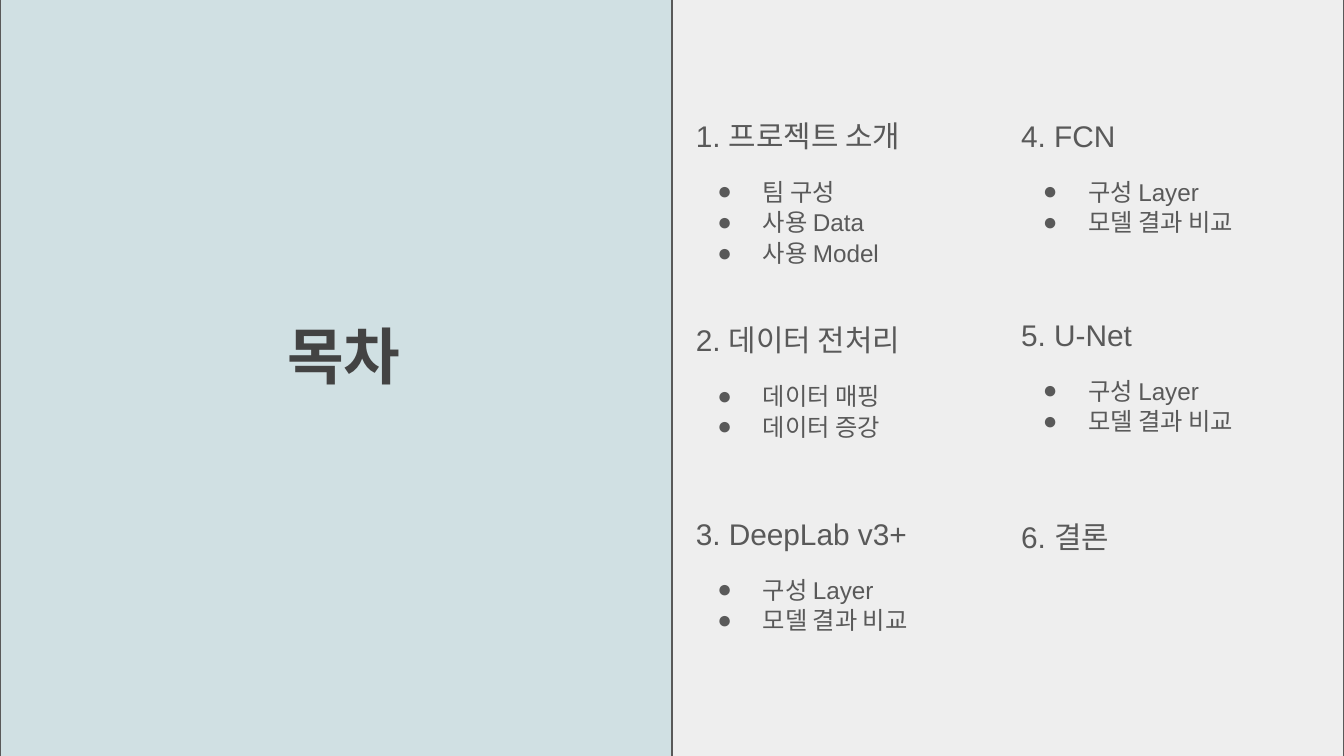
from lxml.etree import SubElement
from pptx import Presentation
from pptx.dml.color import RGBColor
from pptx.enum.shapes import MSO_SHAPE as Shape
from pptx.enum.text import MSO_ANCHOR as Anchor, PP_ALIGN as Align
from pptx.oxml.ns import qn
from pptx.util import Cm, Pt

PALE_BLUE = RGBColor(0xD0, 0xE0, 0xE3)
PALE_GRAY = RGBColor(0xEE, 0xEE, 0xEE)
GRAY = RGBColor(0x59, 0x59, 0x59)
DARK_GRAY = RGBColor(0x43, 0x43, 0x43)

# Contents grid, in centimetres
LEFT_COLUMN, RIGHT_COLUMN = 12.9, 19.05
FIRST_ROW, ROW_STEP = 1.7, 3.76
SECTION_WIDTH = 6.35

# Column, row, heading, topics
LAYER_TOPICS = ["구성 Layer", "모델 결과 비교"]
SECTIONS = [
    (LEFT_COLUMN, 0, "1. 프로젝트 소개", ["팀 구성", "사용 Data", "사용 Model"]),
    (LEFT_COLUMN, 1, "2. 데이터 전처리", ["데이터 매핑", "데이터 증강"]),
    (LEFT_COLUMN, 2, "3. DeepLab v3+", LAYER_TOPICS),
    (RIGHT_COLUMN, 0, "4. FCN", LAYER_TOPICS),
    (RIGHT_COLUMN, 1, "5. U-Net", LAYER_TOPICS),
    (RIGHT_COLUMN, 2, "6. 결론", []),
]


def write(paragraph, text, size=16, font="Arial", color=GRAY, bold=False,
          spacing=1.0, before=0, bullet=False):
    """Fill one paragraph with formatted text."""
    if bullet:
        props = paragraph._p.get_or_add_pPr()
        props.set("marL", str(Cm(1.27)))
        props.set("indent", str(Cm(-0.86)))
        bullet_color = SubElement(props, qn("a:buClr"))
        SubElement(bullet_color, qn("a:srgbClr")).set("val", str(color))
        SubElement(props, qn("a:buFont")).set("typeface", font)
        SubElement(props, qn("a:buChar")).set("char", "●")
    paragraph.alignment = Align.LEFT
    paragraph.line_spacing = spacing
    paragraph.space_before = Pt(before)
    run = paragraph.add_run()
    run.text = text
    run.font.size = Pt(size)
    run.font.name = font
    run.font.bold = bold
    run.font.color.rgb = color


class ContentsSlide:
    """Holds the slide and the shared style of its elements."""
    outline = GRAY
    outline_width = Pt(0.75)
    inset = Cm(0.25)

    def __init__(self, deck):
        self.slide = deck.slides.add_slide(deck.slide_layouts[6])

    def panel(self, left, top, width, height, fill):
        panel = self.slide.shapes.add_shape(
            Shape.RECTANGLE, Cm(left), Cm(top), Cm(width), Cm(height))
        panel.shadow.inherit = False
        panel.fill.solid()
        panel.fill.fore_color.rgb = fill
        panel.line.color.rgb = self.outline
        panel.line.width = self.outline_width

    def text_frame(self, left, top, width, height, anchor=Anchor.TOP):
        frame = self.slide.shapes.add_textbox(
            Cm(left), Cm(top), Cm(width), Cm(height)).text_frame
        frame.word_wrap = True
        frame.vertical_anchor = anchor
        frame.margin_left = frame.margin_right = self.inset
        frame.margin_top = frame.margin_bottom = self.inset
        return frame

    def title(self, text):
        frame = self.text_frame(5.18, 5.74, 3, 1.93, Anchor.MIDDLE)
        write(frame.paragraphs[0], text, size=33, font="Manrope",
              color=DARK_GRAY, bold=True)

    def section(self, column, row, heading, topics):
        # The second left section sits a little lower, under the longest list
        nudge = 0.1 if (column, row) == (LEFT_COLUMN, 1) else 0
        height = 3.76 if len(topics) > 2 else 3.18
        frame = self.text_frame(column, FIRST_ROW + row * ROW_STEP + nudge,
                                SECTION_WIDTH, height)
        write(frame.paragraphs[0], heading, spacing=1.4 if topics else 1.5)
        for index, topic in enumerate(topics):
            write(frame.add_paragraph(), topic, size=13, spacing=1.05,
                  before=0 if index else 12, bullet=True)


def main():
    deck = Presentation()
    deck.slide_width, deck.slide_height = Cm(25.4), Cm(14.29)
    contents = ContentsSlide(deck)

    # Left half: title panel
    contents.panel(0, -0.18, 13.39, 14.63, PALE_BLUE)
    contents.title("목차")

    # Right half: two columns of sections
    contents.panel(12.7, -0.18, 12.7, 14.58, PALE_GRAY)
    for section in SECTIONS:
        contents.section(*section)

    deck.save("out.pptx")


if __name__ == "__main__":
    main()
